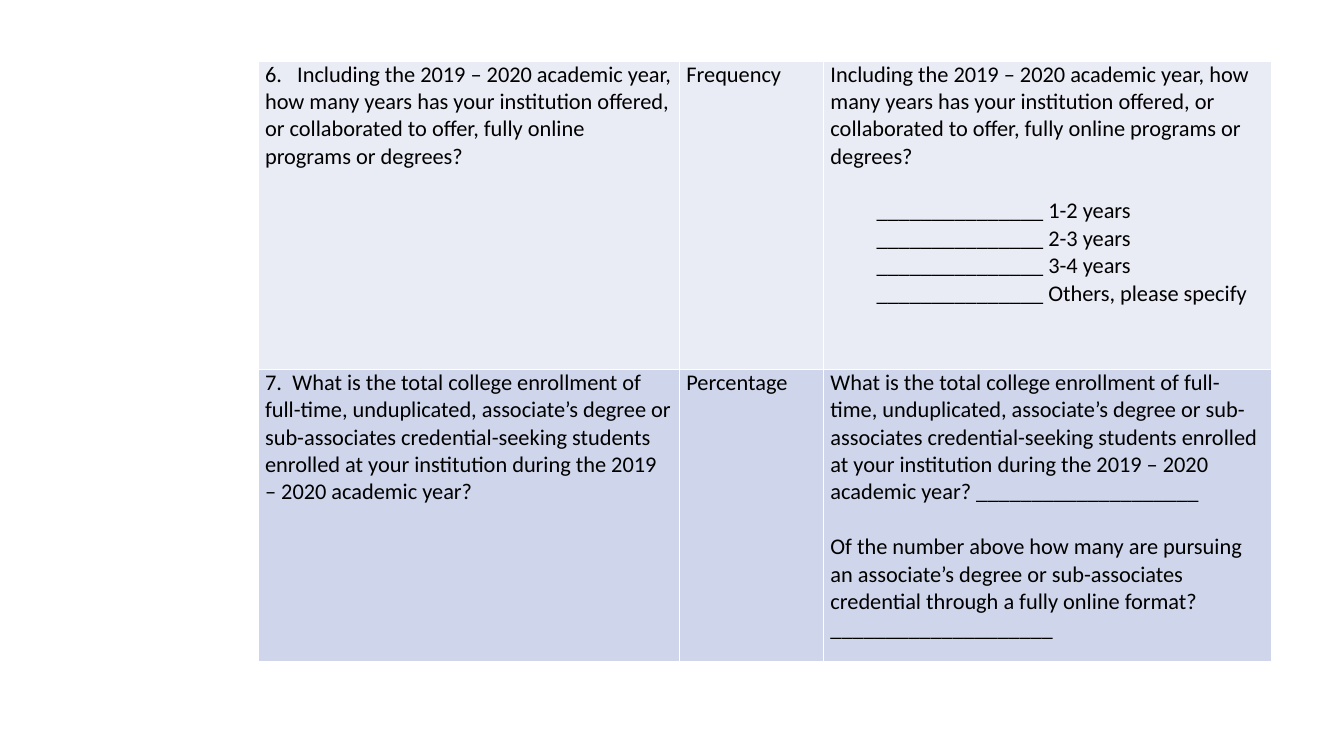
"""Build a slide with a table of survey questions, measures and response items."""
from lxml.etree import SubElement
from pptx import Presentation
from pptx.dml.color import RGBColor
from pptx.oxml import parse_xml
from pptx.oxml.ns import nsdecls, qn
from pptx.util import Cm, Pt

THEME = {
    "font": {"name": "Calibri", "size": Pt(16)},
    "text": RGBColor.from_string("000000"),
    "bands": ("E9EBF5", "CFD5EA"),
    "border": "FFFFFF",
    "border_widths": {"lnL": Pt(1), "lnR": Pt(1), "lnT": Pt(0.25), "lnB": Pt(0.25)},
}

YEARS_QUESTION = (
    "Including the 2019 – 2020 academic year, how many years has your institution "
    "offered, or collaborated to offer, fully online programs or degrees?"
)
ENROLLMENT_QUESTION = (
    "What is the total college enrollment of full-time, unduplicated, associate’s degree "
    "or sub-associates credential-seeking students enrolled at your institution during "
    "the 2019 – 2020 academic year?"
)
ONLINE_QUESTION = (
    "Of the number above how many are pursuing an associate’s degree or sub-associates "
    "credential through a fully online format?"
)
YEAR_CHOICES = ("1-2 years", "2-3 years", "3-4 years", "Others, please specify")
CHOICE_BLANK = "_" * 15
ANSWER_BLANK = "_" * 20

PLAIN = {}
CHOICE = {"indent": Cm(1.16)}
FIRST_CHOICE = {**CHOICE, "before": Pt(19.5)}
SECOND_QUESTION = {"before": Pt(19.5)}

choices = [
    (f"{CHOICE_BLANK} {choice}", CHOICE if number else FIRST_CHOICE)
    for number, choice in enumerate(YEAR_CHOICES)
]
ROWS = [
    [
        [(f"6.\t{YEARS_QUESTION}", {"tab": Cm(0.81)})],
        [("Frequency", PLAIN)],
        [(YEARS_QUESTION, PLAIN), *choices],
    ],
    [
        [(f"7.\t{ENROLLMENT_QUESTION}", {"tab": Cm(0.69)})],
        [("Percentage", PLAIN)],
        [
            (f"{ENROLLMENT_QUESTION} {ANSWER_BLANK}", PLAIN),
            (f"{ONLINE_QUESTION} {ANSWER_BLANK}", SECOND_QUESTION),
        ],
    ],
]

SLIDE_SIZE = {"slide_width": Cm(33.87), "slide_height": Cm(19.05)}
TABLE_LEFT, TABLE_TOP = Cm(6.5), Cm(1.53)
COLUMN_WIDTHS = (Cm(10.62), Cm(3.63), Cm(11.3))
ROW_HEIGHTS = (Cm(7.77), Cm(7.37))
TABLE_FORMAT = {"first_row": False, "horz_banding": False}
CELL_MARGINS = {
    "margin_left": Cm(0.18),
    "margin_right": Cm(0.18),
    "margin_top": 0,
    "margin_bottom": 0,
}


def apply_format(target, values):
    for name, value in values.items():
        setattr(target, name, value)


def add_borders(cell):
    properties = cell._tc.get_or_add_tcPr()
    for position, (side, width) in enumerate(THEME["border_widths"].items()):
        border = parse_xml(
            f'<a:{side} {nsdecls("a")} w="{width}"><a:solidFill>'
            f'<a:srgbClr val="{THEME["border"]}"/></a:solidFill></a:{side}>'
        )
        properties.insert(position, border)


def write_paragraph(paragraph, text, layout):
    run = paragraph.add_run()
    run.text = text
    apply_format(run.font, THEME["font"])
    run.font.color.rgb = THEME["text"]
    if "before" in layout:
        paragraph.space_before = layout["before"]
    properties = paragraph._p.get_or_add_pPr()
    if "indent" in layout:
        properties.set("marL", str(layout["indent"]))
    if "tab" in layout:
        tabs = SubElement(properties, qn("a:tabLst"))
        SubElement(tabs, qn("a:tab"), pos=str(layout["tab"]), algn="l")


def fill_cell(cell, paragraphs, color):
    apply_format(cell, CELL_MARGINS)
    cell.fill.solid()
    cell.fill.fore_color.rgb = RGBColor.from_string(color)
    add_borders(cell)
    frame = cell.text_frame
    for number, (text, layout) in enumerate(paragraphs):
        paragraph = frame.add_paragraph() if number else frame.paragraphs[0]
        write_paragraph(paragraph, text, layout)


def add_question_table(slide):
    table = slide.shapes.add_table(
        len(ROWS), len(COLUMN_WIDTHS), TABLE_LEFT, TABLE_TOP,
        sum(COLUMN_WIDTHS), sum(ROW_HEIGHTS),
    ).table
    apply_format(table, TABLE_FORMAT)
    for column, width in zip(table.columns, COLUMN_WIDTHS):
        column.width = width
    for row, height, contents, color in zip(table.rows, ROW_HEIGHTS, ROWS, THEME["bands"]):
        row.height = height
        for cell, paragraphs in zip(row.cells, contents):
            fill_cell(cell, paragraphs, color)


def main():
    presentation = Presentation()
    apply_format(presentation, SLIDE_SIZE)
    slide = presentation.slides.add_slide(presentation.slide_layouts[6])
    add_question_table(slide)
    presentation.save("out.pptx")


if __name__ == "__main__":
    main()
